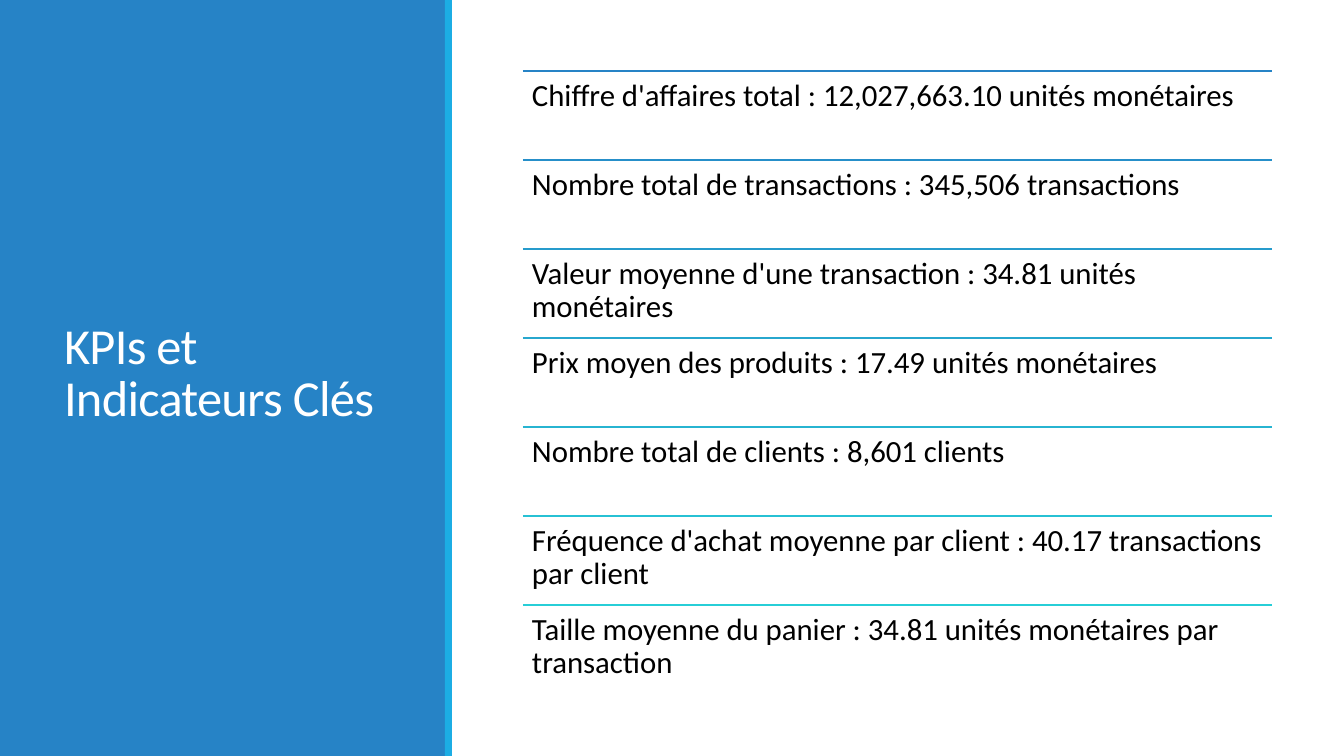
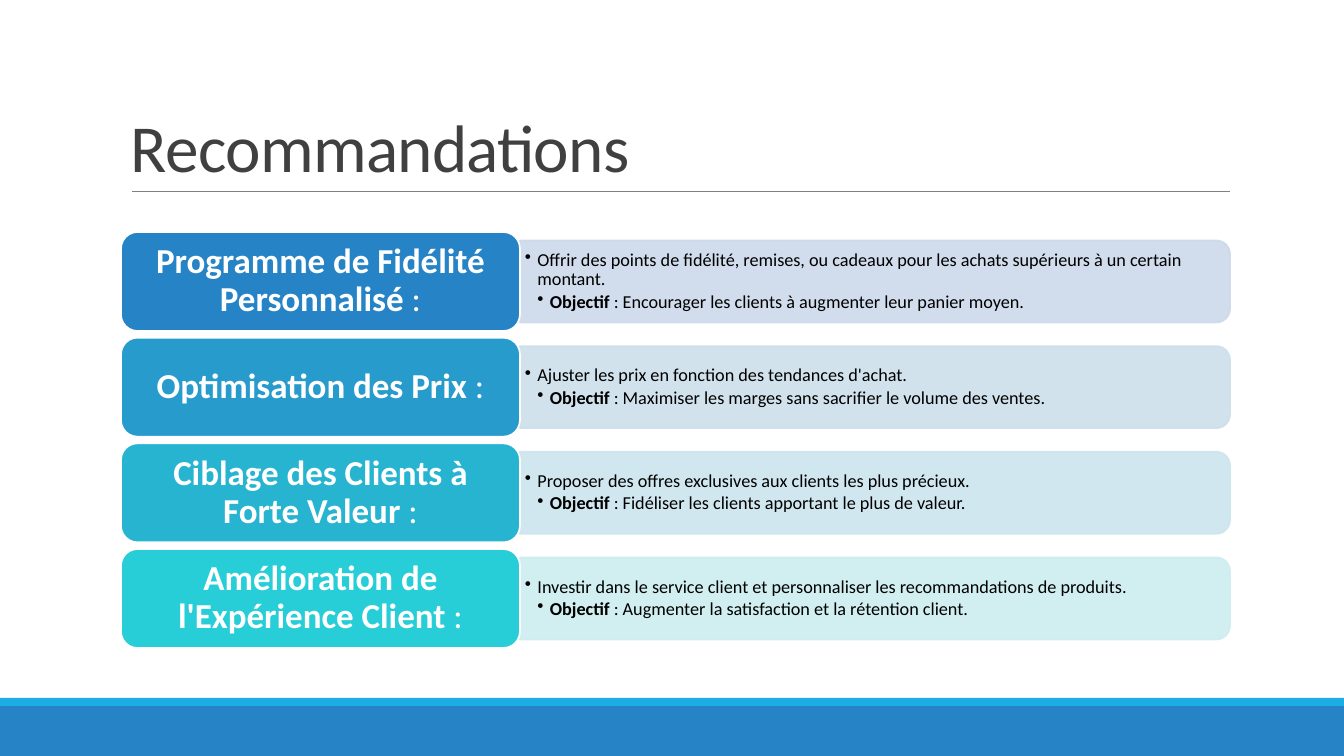
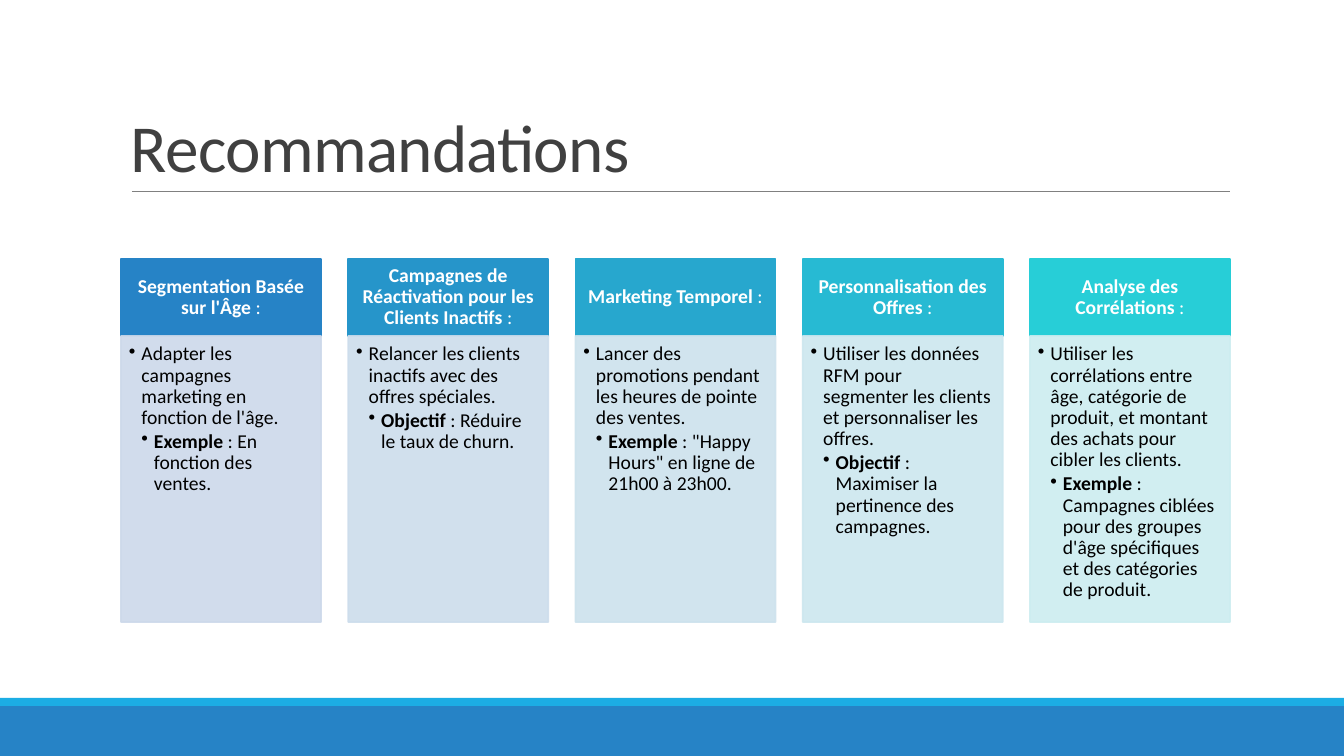
"""Builds three slides on key indicators and recommendations."""
import pptx
import pptx.util
import pptx.dml.color
import pptx.enum.shapes
import pptx.enum.text
import pptx.oxml
import pptx.oxml.ns

PX = 914400 / 100.8
FONT = "Calibri"
STEPS = 12
COLORS = {
    "blue": "2683C6", "sky": "1CADE4", "white": "FFFFFF", "black": "000000",
    "ink": "404040", "grey": "808080",
    "tone0": "2683C6", "tone2": "268FC9", "tone3": "2695CA", "tone4": "269BCC",
    "tone6": "27A7CE", "tone8": "27B4D1", "tone9": "27BAD3", "tone10": "27C1D4",
    "tone12": "27CED7",
    "pale0": "CDD9EA", "pale3": "CDDDEC", "pale4": "CDDFEC", "pale6": "CDE2ED",
    "pale8": "CDE5EE", "pale9": "CDE7EF", "pale12": "CDEDF0",
}

KPI_TITLE = "KPIs et Indicateurs Clés"
KPIS = [
    "Chiffre d'affaires total : 12,027,663.10 unités monétaires",
    "Nombre total de transactions : 345,506 transactions",
    "Valeur moyenne d'une transaction : 34.81 unités monétaires",
    "Prix moyen des produits : 17.49 unités monétaires",
    "Nombre total de clients : 8,601 clients",
    "Fréquence d'achat moyenne par client : 40.17 transactions par client",
    "Taille moyenne du panier : 34.81 unités monétaires par transaction",
]
ADVICE_TITLE = "Recommandations"
ADVICE_ROWS = [
    ("Programme de Fidélité Personnalisé",
     "Offrir des points de fidélité, remises, ou cadeaux pour les achats supérieurs à un certain montant.",
     "Objectif", "Encourager les clients à augmenter leur panier moyen."),
    ("Optimisation des Prix",
     "Ajuster les prix en fonction des tendances d'achat.",
     "Objectif", "Maximiser les marges sans sacrifier le volume des ventes."),
    ("Ciblage des Clients à Forte Valeur",
     "Proposer des offres exclusives aux clients les plus précieux.",
     "Objectif", "Fidéliser les clients apportant le plus de valeur."),
    ("Amélioration de l'Expérience Client",
     "Investir dans le service client et personnaliser les recommandations de produits.",
     "Objectif", "Augmenter la satisfaction et la rétention client."),
]
ADVICE_COLUMNS = [
    ("Segmentation Basée sur l'Âge",
     "Adapter les campagnes marketing en fonction de l'âge.",
     "Exemple", "En fonction des ventes."),
    ("Campagnes de Réactivation pour les Clients Inactifs",
     "Relancer les clients inactifs avec des offres spéciales.",
     "Objectif", "Réduire le taux de churn."),
    ("Marketing Temporel",
     "Lancer des promotions pendant les heures de pointe des ventes.",
     "Exemple", "\"Happy Hours\" en ligne de 21h00 à 23h00."),
    ("Personnalisation des Offres",
     "Utiliser les données RFM pour segmenter les clients et personnaliser les offres.",
     "Objectif", "Maximiser la pertinence des campagnes."),
    ("Analyse des Corrélations",
     "Utiliser les corrélations entre âge, catégorie de produit, et montant des achats pour cibler les clients.",
     "Exemple", "Campagnes ciblées pour des groupes d'âge spécifiques et des catégories de produit."),
]

SHAPE = pptx.enum.shapes.MSO_SHAPE
ANCHOR = pptx.enum.text.MSO_ANCHOR
ALIGN = pptx.enum.text.PP_ALIGN


def emu(*lengths):
    return [pptx.util.Emu(round(length * PX)) for length in lengths]


def rgb(name):
    return pptx.dml.color.RGBColor.from_string(COLORS[name])


def child(parent, tag, **attributes):
    element = pptx.oxml.parse_xml(f"<a:{tag} {pptx.oxml.ns.nsdecls('a')}/>")
    for name, value in attributes.items():
        element.set(name, str(value))
    parent.append(element)


def write(frame, paragraphs, size=14, color="black", align=ALIGN.LEFT, anchor=ANCHOR.TOP,
          insets=(10, 5, 10, 5), leading=0.9, after=0, tracking=0, bullets=False):
    """Each paragraph is a list of (text, bold) pairs; insets run left, top, right, bottom."""
    frame.word_wrap = True
    frame.auto_size = pptx.enum.text.MSO_AUTO_SIZE.NONE
    frame.vertical_anchor = anchor
    frame.margin_left, frame.margin_top, frame.margin_right, frame.margin_bottom = emu(*insets)
    for index, pieces in enumerate(paragraphs):
        para = frame.paragraphs[0] if index == 0 else frame.add_paragraph()
        para.alignment = align
        para.line_spacing = leading
        para.space_before = pptx.util.Pt(0)
        para.space_after = pptx.util.Pt(after)
        if bullets:
            para.level = index + 1
            properties = para._p.get_or_add_pPr()
            indent = emu(12.5)[0]
            properties.set("marL", str(indent * (index + 1)))
            properties.set("indent", str(-indent))
            child(properties, "buChar", char="•")
        for text, bold in pieces:
            span = para.add_run()
            span.text = text
            span.font.name = FONT
            span.font.size = pptx.util.Pt(size)
            span.font.bold = bold
            span.font.color.rgb = rgb(color)
            if tracking:
                span._r.get_or_add_rPr().set("spc", str(tracking))


def add_box(page, kind, place, fill, line=None, opacity=100):
    box = page.shapes.add_shape(kind, *emu(*place))
    box.shadow.inherit = False
    box.fill.solid()
    box.fill.fore_color.rgb = rgb(fill)
    if line:
        box.line.color.rgb = rgb(line)
        box.line.width = pptx.util.Pt(1.25)
    else:
        box.line.fill.background()
    if opacity < 100:
        for color in box.element.spPr.iter(pptx.oxml.ns.qn("a:srgbClr")):
            child(color, "alpha", val=opacity * 1000)
    return box


def add_rule(page, left, right, y, color, width):
    kind = pptx.enum.shapes.MSO_CONNECTOR.STRAIGHT
    rule = page.shapes.add_connector(kind, *emu(left, y, right, y))
    rule.line.color.rgb = rgb(color)
    rule.line.width = pptx.util.Pt(width)
    child(rule.element.spPr, "effectLst")


def add_text(page, place, paragraphs, **style):
    box = page.shapes.add_textbox(*emu(*place))
    write(box.text_frame, paragraphs, **style)


def add_page(deck, title, place, bands, **style):
    page = deck.slides.add_slide(deck.slide_layouts[5])
    for band, color in bands:
        add_box(page, SHAPE.RECTANGLE, band, color)
    heading = page.shapes.title
    heading.left, heading.top, heading.width, heading.height = emu(*place)
    write(heading.text_frame, [[(title, False)]], leading=0.85, tracking=-50, **style)
    page.shapes.element.append(heading.element)
    return page


def add_advice_page(deck):
    bands = [((0, 706, 1344, 50), "blue"), ((0, 698, 1344, 8), "sky")]
    page = add_page(deck, ADVICE_TITLE, (121, 31, 1109, 160), bands,
                    size=48, color="ink", anchor=ANCHOR.BOTTOM)
    add_rule(page, 132, 1230, 191, "grey", 0.5)
    return page


def shade(index, items):
    return index * STEPS // (len(items) - 1)


def heading_text(heading):
    return [[(heading, True), (" :", False)]]


def detail_text(action, label, detail):
    return [[(action, False)], [(label, True), (f" : {detail}", False)]]


def build_kpis(deck):
    bands = [((0, 0, 446, 756), "blue"), ((445, 0, 7, 756), "sky")]
    page = add_page(deck, KPI_TITLE, (54, 57, 340, 636), bands,
                    size=36, color="white", anchor=ANCHOR.MIDDLE)
    left, width, top, pitch = 523, 749, 71, 89
    for index, kpi in enumerate(KPIS):
        y = top + index * pitch
        add_rule(page, left, left + width, y, f"tone{shade(index, KPIS)}", 1.25)
        add_text(page, (left, y, width, pitch), [[(kpi, False)]], size=22, insets=(9, 9, 9, 9))


def build_rows(deck):
    page = add_advice_page(deck)
    left, split, right, top, bottom, height = 121, 520, 1230, 232, 648, 99
    pitch = (bottom - top - height) / (len(ADVICE_ROWS) - 1)
    length, thickness = right - split, 82
    turn = (length - thickness) / 2
    for index, (heading, *details) in enumerate(ADVICE_ROWS):
        y = top + index * pitch
        step = shade(index, ADVICE_ROWS)
        bar_top = y + (height - thickness) / 2
        bar = add_box(page, SHAPE.ROUND_2_SAME_RECTANGLE,
                      (split + turn, bar_top - turn, thickness, length),
                      f"pale{step}", line=f"pale{step}", opacity=90)
        bar.rotation = 90
        add_text(page, (split, bar_top + 5, length - 4, thickness - 10), detail_text(*details),
                 size=13, anchor=ANCHOR.MIDDLE, insets=(5, 3, 5, 3), after=2, bullets=True)
        card = add_box(page, SHAPE.ROUNDED_RECTANGLE, (left, y, split - left, height),
                       f"tone{step}", line="white")
        write(card.text_frame, heading_text(heading), size=25, color="white",
              align=ALIGN.CENTER, anchor=ANCHOR.MIDDLE)


def build_columns(deck):
    page = add_advice_page(deck)
    left, right, width, top, split, bottom = 121, 1230, 200, 259, 336, 622
    pitch = (right - left - width) / (len(ADVICE_COLUMNS) - 1)
    for index, (heading, *details) in enumerate(ADVICE_COLUMNS):
        x = left + index * pitch
        step = shade(index, ADVICE_COLUMNS)
        head = add_box(page, SHAPE.RECTANGLE, (x, top, width, split - top),
                       f"tone{step}", line=f"tone{step}")
        write(head.text_frame, heading_text(heading), color="white", align=ALIGN.CENTER,
              anchor=ANCHOR.MIDDLE, insets=(11, 6, 11, 6))
        body = add_box(page, SHAPE.RECTANGLE, (x, split, width, bottom - split),
                       f"pale{step}", line=f"pale{step}", opacity=90)
        write(body.text_frame, detail_text(*details), insets=(8, 8, 11, 12), after=2, bullets=True)


def main():
    deck = pptx.Presentation()
    deck.slide_width, deck.slide_height = emu(1344, 756)
    build_kpis(deck)
    build_rows(deck)
    build_columns(deck)
    deck.save("out.pptx")


if __name__ == "__main__":
    main()
